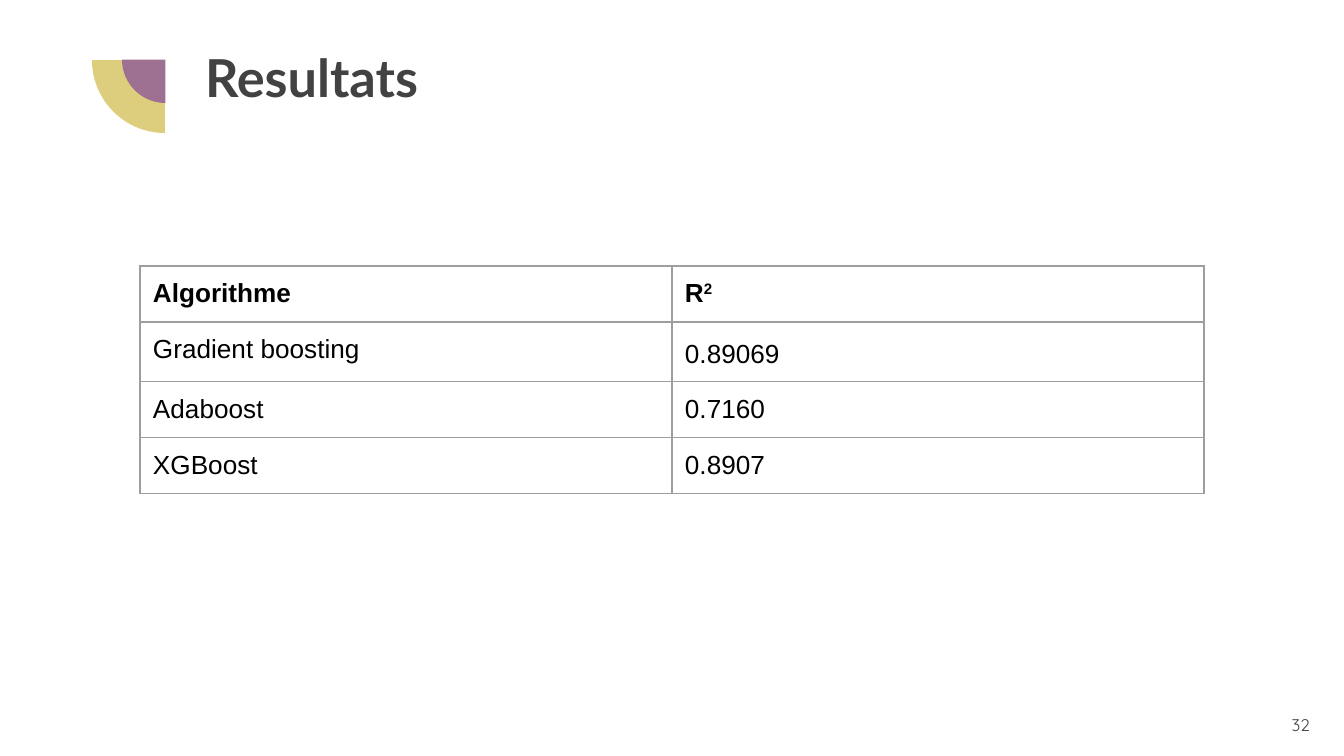
"""Build the results slide with its table of R² scores."""
from lxml import etree
from pptx import Presentation
from pptx.dml.color import RGBColor
from pptx.enum.shapes import MSO_SHAPE
from pptx.enum.text import MSO_ANCHOR, MSO_AUTO_SIZE, PP_ALIGN
from pptx.oxml.ns import qn
from pptx.util import Emu, Pt

PIE = MSO_SHAPE.PIE
TOP, MIDDLE = MSO_ANCHOR.TOP, MSO_ANCHOR.MIDDLE
LEFT, RIGHT = PP_ALIGN.LEFT, PP_ALIGN.RIGHT
FIXED = MSO_AUTO_SIZE.NONE

GOLD = RGBColor(0xDD, 0xCE, 0x7D)
PLUM = RGBColor(0x9E, 0x71, 0x92)
GRAY = RGBColor(0x42, 0x42, 0x42)
BLACK = RGBColor(0, 0, 0)
RULE = RGBColor(0x9E, 0x9E, 0x9E)


def px(n):
    return Emu(round(n * 914400 / 134.4))


def style(run, name, size, color, bold=False):
    font = run.font
    for key, value in {"name": name, "size": Pt(size), "bold": bold}.items():
        setattr(font, key, value)
    font.color.rgb = color


deck = Presentation()
deck.slide_width, deck.slide_height = px(1344), px(756)
slide = deck.slides.add_slide(deck.slide_layouts[5])
shapes = slide.shapes

for left, top, size, color in [(92, -13, 146, GOLD), (122, 16, 87, PLUM)]:
    pie = shapes.add_shape(PIE, px(left), px(top), px(size), px(size))
    pie.adjustments[0], pie.adjustments[1] = 108, 162
    pie.rotation = 270
    pie.shadow.inherit = False
    pie.fill.solid()
    pie.fill.fore_color.rgb = color
    pie.line.fill.background()

title = shapes.title
number = shapes.add_textbox(0, 0, 0, 0)
for box, text, area, anchor, align, look in [
    (title, "Resultats", (192, 32, 1034, 146), TOP, LEFT, ("Lato", 28, GRAY, True)),
    (number, "32", (1242, 696, 81, 58), MIDDLE, RIGHT, ("Quicksand", 9, GRAY)),
]:
    box.left, box.top, box.width, box.height = map(px, area)
    frame = box.text_frame
    frame.text = text
    pad = px(13)
    for key, value in {
        "word_wrap": True, "auto_size": FIXED, "vertical_anchor": anchor,
        "margin_left": pad, "margin_right": pad,
        "margin_top": pad, "margin_bottom": pad,
    }.items():
        setattr(frame, key, value)
    para = frame.paragraphs[0]
    para.alignment = align
    style(para.runs[0], *look)

rows = [
    ("Algorithme", "R"),
    ("Gradient boosting", "0.89069"),
    ("Adaboost", "0.7160"),
    ("XGBoost", "0.8907"),
]
table = shapes.add_table(4, 2, px(140), px(266), px(1064), px(224)).table
table.first_row = table.horz_banding = False
for r, row in enumerate(rows):
    table.rows[r].height = px(56)
    for c, text in enumerate(row):
        cell = table.cell(r, c)
        cell.text = text
        for side in ("left", "right", "top", "bottom"):
            setattr(cell, f"margin_{side}", px(13))
        props = cell._tc.get_or_add_tcPr()
        for side in "LRTB":
            line = etree.SubElement(props, qn(f"a:ln{side}"), w=str(Pt(0.75)))
            fill = etree.SubElement(line, qn("a:solidFill"))
            etree.SubElement(fill, qn("a:srgbClr"), val=str(RULE))
        cell.fill.background()
        style(cell.text_frame.paragraphs[0].runs[0], "Arial", 14, BLACK, r == 0)

power = table.cell(0, 1).text_frame.paragraphs[0].add_run()
power.text = "2"
style(power, "Arial", 14, BLACK, True)
power._r.get_or_add_rPr().set("baseline", "30000")
table.cell(1, 1).text_frame.paragraphs[0].line_spacing = 1.15

deck.save("out.pptx")
